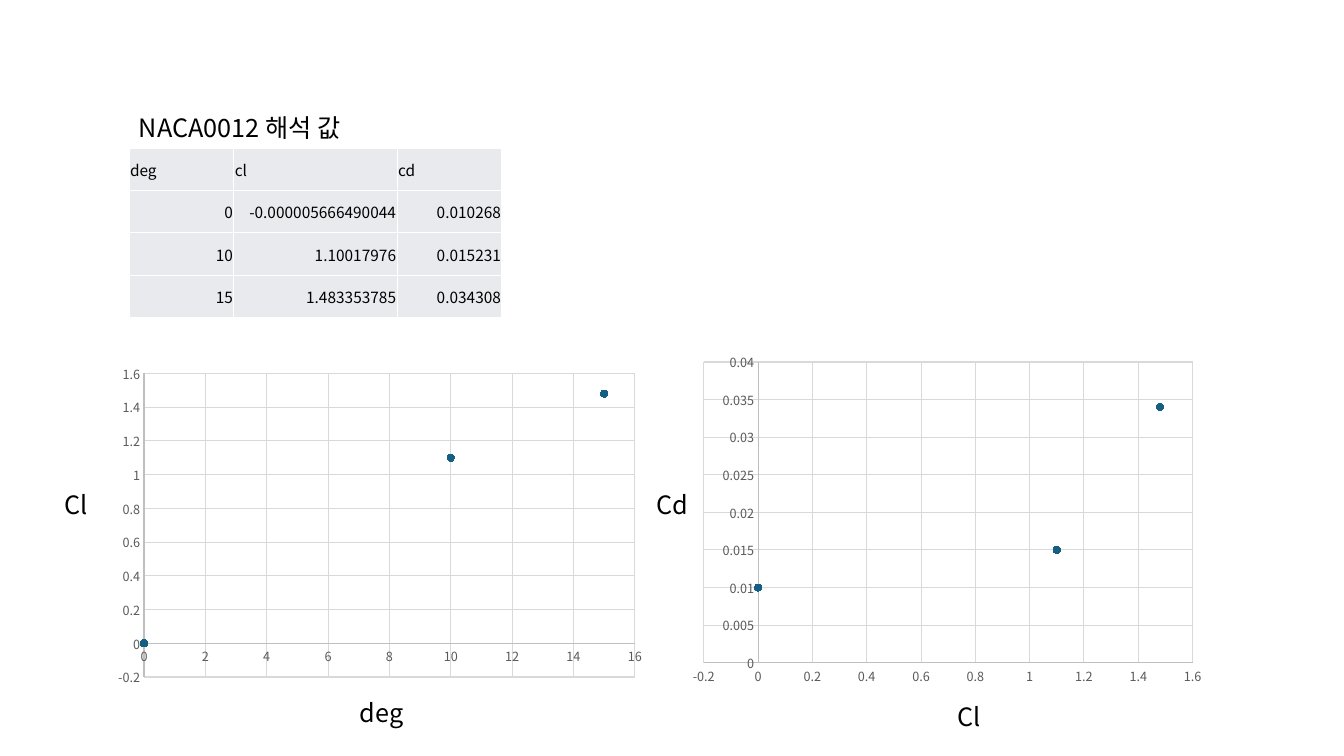
from lxml.etree import SubElement
from pptx import Presentation
from pptx.chart.data import XyChartData
from pptx.dml.color import RGBColor
from pptx.enum.chart import XL_CHART_TYPE, XL_MARKER_STYLE, XL_TICK_MARK
from pptx.enum.text import MSO_ANCHOR, MSO_AUTO_SIZE, PP_ALIGN
from pptx.oxml import parse_xml
from pptx.oxml.ns import nsdecls, qn
from pptx.util import Inches, Pt

FONT = "Noto Sans CJK KR"
BLACK = RGBColor(0x00, 0x00, 0x00)
CELL_GRAY = RGBColor(0xE8, 0xEA, 0xED)
MARKER_BLUE = RGBColor(0x15, 0x60, 0x82)
TICK_GRAY = RGBColor(0x59, 0x59, 0x59)
AXIS_GRAY = RGBColor(0xBF, 0xBF, 0xBF)
GRID_GRAY = RGBColor(0xD9, 0xD9, 0xD9)

HEADER = ("deg", "cl", "cd")
RESULTS = (
    ("0", "-0.000005666490044", "0.010268"),
    ("10", "1.10017976", "0.015231"),
    ("15", "1.483353785", "0.034308"),
)
# Plotted values, rounded
DEGREES = (0, 10, 15)
LIFT = (0, 1.1, 1.48)
DRAG = (0.01, 0.015, 0.034)


def set_font(font, size, color=BLACK):
    font.name = FONT
    font.size = Pt(size)
    font.color.rgb = color


def add_label(slide, left, top, width, text, alignment=PP_ALIGN.LEFT):
    box = slide.shapes.add_textbox(Inches(left), Inches(top), Inches(width), Inches(0.4))
    frame = box.text_frame
    frame.word_wrap = True
    frame.auto_size = MSO_AUTO_SIZE.SHAPE_TO_FIT_TEXT
    paragraph = frame.paragraphs[0]
    paragraph.text = text
    paragraph.alignment = alignment
    set_font(paragraph.font, 18)
    # Hangul takes the East Asian typeface
    for run in paragraph.runs:
        SubElement(run.font._element, qn("a:ea")).set("typeface", FONT)


def add_cell_borders(cell):
    properties = cell._tc.get_or_add_tcPr()
    for side in ("lnL", "lnR", "lnT", "lnB"):
        properties.append(parse_xml(
            f'<a:{side} {nsdecls("a")} w="12700"><a:solidFill>'
            f'<a:srgbClr val="FFFFFF"/></a:solidFill></a:{side}>'))


def add_result_table(slide, left, top):
    widths, row_height = (1.04, 1.62, 1.04), 0.42
    rows = (HEADER, *RESULTS)
    table = slide.shapes.add_table(
        len(rows), len(widths), Inches(left), Inches(top),
        Inches(sum(widths)), Inches(row_height * len(rows))).table
    table.first_row = table.horz_banding = False
    for column, width in zip(table.columns, widths):
        column.width = Inches(width)
    for row_index, values in enumerate(rows):
        table.rows[row_index].height = Inches(row_height)
        for column_index, value in enumerate(values):
            cell = table.cell(row_index, column_index)
            add_cell_borders(cell)
            cell.fill.solid()
            cell.fill.fore_color.rgb = CELL_GRAY
            cell.vertical_anchor = MSO_ANCHOR.MIDDLE
            cell.margin_left = cell.margin_right = cell.margin_top = Inches(0.01)
            cell.margin_bottom = 0
            paragraph = cell.text_frame.paragraphs[0]
            paragraph.text = value
            paragraph.alignment = PP_ALIGN.RIGHT if row_index else PP_ALIGN.LEFT
            set_font(paragraph.font, 11)


def format_axis(axis, minimum, maximum, step):
    axis.minimum_scale, axis.maximum_scale, axis.major_unit = minimum, maximum, step
    axis.major_tick_mark = axis.minor_tick_mark = XL_TICK_MARK.NONE
    axis.has_major_gridlines = True
    for line, color in ((axis.format.line, AXIS_GRAY),
                        (axis.major_gridlines.format.line, GRID_GRAY)):
        line.color.rgb = color
        line.width = Pt(0.75)
    axis.tick_labels.number_format = "General"
    axis.tick_labels.number_format_is_linked = False
    set_font(axis.tick_labels.font, 9, TICK_GRAY)


def add_scatter(slide, box, points, x_scale, y_scale, plot_box):
    data = XyChartData()
    values = data.add_series("Series 1")
    for x, y in points:
        values.add_data_point(x, y)
    chart = slide.shapes.add_chart(
        XL_CHART_TYPE.XY_SCATTER, *(Inches(length) for length in box), data).chart
    chart.has_title = chart.has_legend = False
    set_font(chart.font, 10)
    format_axis(chart.category_axis, *x_scale)
    format_axis(chart.value_axis, *y_scale)

    # Markers without a joining line
    plot = chart.plots[0]
    plot.vary_by_categories = False
    series = plot.series[0]
    series.smooth = False
    series.format.line.fill.background()
    marker = series.marker
    marker.style, marker.size = XL_MARKER_STYLE.CIRCLE, 5
    marker.format.fill.solid()
    marker.format.fill.fore_color.rgb = MARKER_BLUE
    marker.format.line.color.rgb = MARKER_BLUE

    # Fixed inner plot area, as fractions of the chart
    plot_area = chart._chartSpace.chart.plotArea
    for layout in plot_area.findall(qn("c:layout")):
        plot_area.remove(layout)
    settings = [("layoutTarget", "inner"), ("xMode", "edge"), ("yMode", "edge"),
                *zip("xywh", plot_box)]
    entries = "".join(f'<c:{name} val="{value}"/>' for name, value in settings)
    plot_area.insert(0, parse_xml(
        f'<c:layout {nsdecls("c")}><c:manualLayout>{entries}</c:manualLayout></c:layout>'))


def build_slide(presentation):
    slide = presentation.slides.add_slide(presentation.slide_layouts[6])

    # Result table with its heading
    add_result_table(slide, 1.28, 1.47)
    add_label(slide, 1.28, 1.07, 2.47, "NACA0012 해석 값")

    # Lift against angle
    add_scatter(slide, (1.1, 3.54, 5.47, 3.31), zip(DEGREES, LIFT),
                (0, 16, 2), (-0.2, 1.6, 0.2), (0.06, 0.05, 0.89, 0.91))
    add_label(slide, 0.54, 4.81, 0.73, "Cl")
    add_label(slide, 3.47, 6.87, 0.73, "deg")

    # Drag against lift
    add_scatter(slide, (6.77, 3.42, 5.27, 3.43), zip(LIFT, DRAG),
                (-0.2, 1.6, 0.2), (0, 0.04, 0.005), (0.04, 0.05, 0.92, 0.87))
    add_label(slide, 6.3, 4.81, 0.73, "Cd", PP_ALIGN.CENTER)
    add_label(slide, 9.4, 6.91, 0.73, "Cl")


def main():
    presentation = Presentation()
    presentation.slide_width = Inches(13.33)
    presentation.slide_height = Inches(7.5)
    build_slide(presentation)
    presentation.save("out.pptx")


if __name__ == "__main__":
    main()
